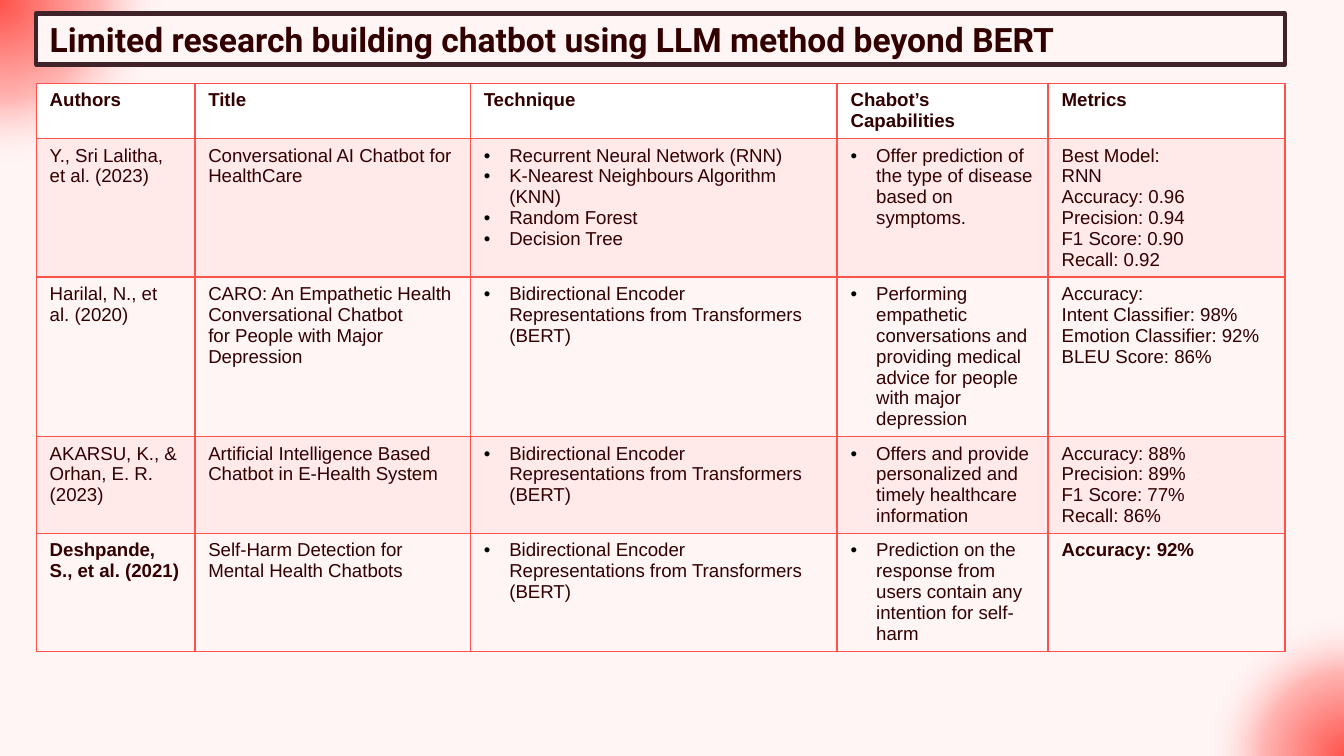
from lxml.etree import SubElement
from pptx import Presentation
from pptx.dml.color import RGBColor
from pptx.enum.shapes import MSO_SHAPE
from pptx.enum.text import MSO_ANCHOR, MSO_AUTO_SIZE, PP_ALIGN
from pptx.oxml import parse_xml
from pptx.oxml.ns import nsdecls, qn
from pptx.util import Inches, Pt

INK, RED, PALE, PINK, WHITE = "320000", "FF524B", "FFF5F5", "FFE9E9", "FFFFFF"
FRAME = "3F2328"
BERT = ["Bidirectional Encoder Representations from Transformers (BERT)"]

HEADERS = ["Authors", "Title", "Technique", "Chabot’s Capabilities", "Metrics"]
STUDIES = [
    [["Y., Sri Lalitha, et al. (2023)"],
     ["Conversational AI Chatbot for HealthCare"],
     ["Recurrent Neural Network (RNN)", "K-Nearest Neighbours Algorithm (KNN)",
      "Random Forest", "Decision Tree"],
     ["Offer prediction of the type of disease based on symptoms."],
     ["Best Model:", "RNN", "Accuracy: 0.96", "Precision: 0.94",
      "F1 Score: 0.90", "Recall: 0.92"]],
    [["Harilal, N., et al. (2020)"],
     ["CARO: An Empathetic Health Conversational Chatbot",
      "for People with Major Depression"],
     BERT,
     ["Performing empathetic conversations and providing medical advice "
      "for people with major depression"],
     ["Accuracy:", "Intent Classifier: 98%", "Emotion Classifier: 92%",
      "BLEU Score: 86%"]],
    [["AKARSU, K., & Orhan, E. R. (2023)"],
     ["Artificial Intelligence Based Chatbot in E-Health System"],
     BERT,
     ["Offers and provide personalized and timely healthcare information"],
     ["Accuracy: 88%", "Precision: 89%", "F1 Score: 77%", "Recall: 86%"]],
    [["Deshpande, S., et al. (2021)"],
     ["Self-Harm Detection for Mental Health Chatbots"],
     BERT,
     ["Prediction on the response from users contain any intention for self-harm"],
     ["Accuracy: 92%"]],
]
COL_WIDTHS = [1.18, 2.05, 2.73, 1.57, 1.76]
ROW_HEIGHTS = [0.41, 1.03, 1.18, 0.72, 0.88]
BULLET_COLS = (2, 3)
KEY_CELLS = ((4, 0), (4, 4))  # bold cells below the header


def rgb(value):
    return RGBColor.from_string(value)


class SlideBuilder:
    def __init__(self, prs):
        self.s = prs.slides.add_slide(prs.slide_layouts[5])
        self.s.background.fill.solid()
        self.s.background.fill.fore_color.rgb = rgb(PALE)

    def format_runs(self, p, font, size, bold):
        for r in p.runs:
            r.font.name, r.font.size, r.font.bold = font, Pt(size), bold
            r.font.color.rgb = rgb(INK)

    def glow(self, x, y, size):
        sp = self.s.shapes.add_shape(MSO_SHAPE.OVAL, Inches(x), Inches(y),
                                     Inches(size), Inches(size))
        sp.shadow.inherit = False
        sp.line.fill.background()
        stops = "".join(
            f'<a:gs pos="{pos * 1000}"><a:srgbClr val="{color}">'
            f'<a:alpha val="{alpha * 1000}"/></a:srgbClr></a:gs>'
            for pos, color, alpha in [(0, RED, 100), (39, RED, 38),
                                      (66, WHITE, 0), (100, WHITE, 0)])
        grad = parse_xml(
            f'<a:gradFill {nsdecls("a")}><a:gsLst>{stops}</a:gsLst>'
            '<a:path path="circle"><a:fillToRect l="50000" t="50000" '
            'r="50000" b="50000"/></a:path></a:gradFill>')
        sp._element.spPr.find(qn("a:prstGeom")).addnext(grad)

    def title(self, text, x, y, w, h):
        sp = self.s.shapes.title
        sp.left, sp.top, sp.width, sp.height = map(Inches, (x, y, w, h))
        sp.fill.solid()
        sp.fill.fore_color.rgb = rgb(PALE)
        sp.line.color.rgb = rgb(FRAME)
        sp.line.width = Pt(2.25)
        tf = sp.text_frame
        tf.text = text
        tf.word_wrap = True
        tf.auto_size = MSO_AUTO_SIZE.NONE
        tf.vertical_anchor = MSO_ANCHOR.MIDDLE
        tf.margin_left = tf.margin_right = Inches(0.1)
        tf.margin_top = tf.margin_bottom = Inches(0.1)
        tf.paragraphs[0].alignment = PP_ALIGN.LEFT
        self.format_runs(tf.paragraphs[0], "Roboto", 18, True)
        # Bring the title in front of the glows
        self.s.shapes._spTree.append(sp._element)

    def bullet(self, p):
        pPr = p._p.get_or_add_pPr()
        pPr.set("marL", str(Inches(0.19)))
        pPr.set("indent", str(-Inches(0.19)))
        color = SubElement(pPr, qn("a:buClr"))
        SubElement(color, qn("a:srgbClr"), val="000000")
        SubElement(pPr, qn("a:buFont"), typeface="Arial")
        SubElement(pPr, qn("a:buChar"), char="•")

    def borders(self, cell):
        tcPr = cell._tc.get_or_add_tcPr()
        for i, side in enumerate(("lnL", "lnR", "lnT", "lnB")):
            tcPr.insert(i, parse_xml(
                f'<a:{side} {nsdecls("a")} w="{Pt(1)}"><a:solidFill>'
                f'<a:srgbClr val="{RED}"/></a:solidFill></a:{side}>'))

    def cell(self, cell, lines, fill, bold, bulleted):
        cell.fill.solid()
        cell.fill.fore_color.rgb = rgb(fill)
        self.borders(cell)
        cell.text_frame.text = "\n".join(lines)
        for p in cell.text_frame.paragraphs:
            self.format_runs(p, "Arial", 10, bold)
            if bulleted:
                self.bullet(p)

    def table(self, rows, x, y):
        table = self.s.shapes.add_table(
            len(rows), len(COL_WIDTHS), Inches(x), Inches(y),
            Inches(sum(COL_WIDTHS)), Inches(sum(ROW_HEIGHTS))).table
        for col, width in zip(table.columns, COL_WIDTHS):
            col.width = Inches(width)
        for i, (row, height) in enumerate(zip(rows, ROW_HEIGHTS)):
            table.rows[i].height = Inches(height)
            fill = WHITE if i == 0 else PINK if i % 2 else PALE
            for j, lines in enumerate(row):
                self.cell(table.cell(i, j), lines, fill,
                          bold=i == 0 or (i, j) in KEY_CELLS,
                          bulleted=i > 0 and j in BULLET_COLS)


def main():
    prs = Presentation()
    # Widescreen, 16:9
    prs.slide_width = Inches(10)
    prs.slide_height = prs.slide_width * 9 // 16
    slide = SlideBuilder(prs)

    # Corner glows
    slide.glow(-1.34, -1.34, 2.68)
    slide.glow(8.87, 4.48, 2.29)

    # Literature table and title
    slide.table([[[h] for h in HEADERS]] + STUDIES, 0.27, 0.62)
    slide.title("Limited research building chatbot using LLM method beyond BERT",
                0.27, 0.1, 9.29, 0.38)

    prs.save("out.pptx")


if __name__ == "__main__":
    main()
